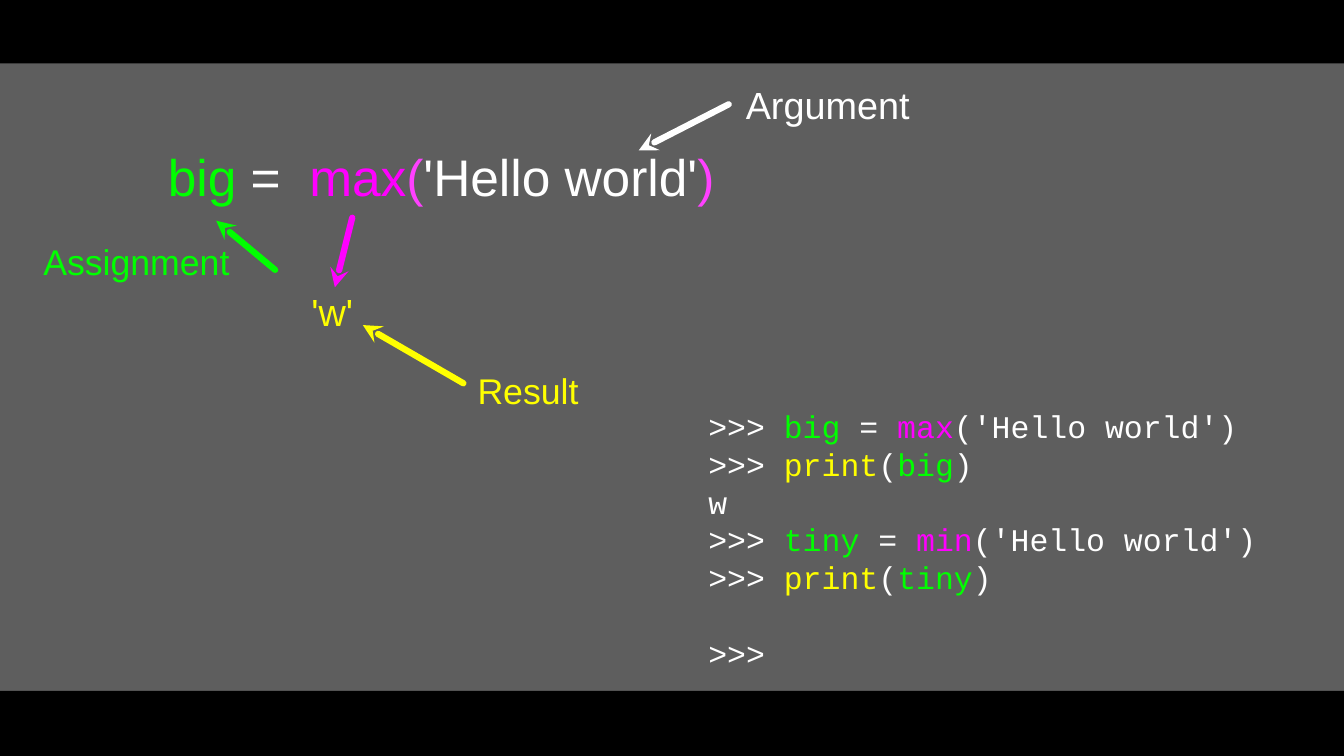
from pptx import Presentation
from pptx.dml.color import RGBColor
from pptx.enum.shapes import MSO_CONNECTOR as CONN, MSO_SHAPE as SHAPE
from pptx.enum.text import MSO_ANCHOR as ANCHOR, PP_ALIGN as ALIGN
from pptx.oxml.ns import qn
from pptx.util import Inches, Pt
from lxml.etree import SubElement

WHITE, GREEN, MAGENTA, YELLOW = "FFFFFF", "00FF00", "FF00FF", "FFFF00"
PINK, BLACK, GRAY = "FF40FF", "000000", "5E5E5E"
WIDTH, HEIGHT = 17.78, 10


def color(value):
    return RGBColor.from_string(value)


def add_bar(s, y, h):
    bar = s.shapes.add_shape(SHAPE.RECTANGLE, 0, Inches(y), Inches(WIDTH), Inches(h))
    bar.shadow.inherit = False
    bar.fill.solid()
    bar.fill.fore_color.rgb = color(BLACK)
    bar.line.fill.background()


def add_text(s, box, lines, size, font="Arial", align=ALIGN.LEFT):
    tf = s.shapes.add_textbox(*map(Inches, box)).text_frame
    tf.word_wrap = True
    tf.vertical_anchor = ANCHOR.MIDDLE
    tf.margin_left = tf.margin_right = tf.margin_top = tf.margin_bottom = 0
    for i, runs in enumerate(lines):
        p = tf.add_paragraph() if i else tf.paragraphs[0]
        p.alignment = align
        for text, fill in runs:
            r = p.add_run()
            r.text = text
            r.font.size = Pt(size)
            r.font.name = font
            r.font.color.rgb = color(fill)
    return tf


def add_arrow(s, tip, tail, fill):
    arrow = s.shapes.add_connector(CONN.STRAIGHT, *map(Inches, tip + tail))
    arrow.line.color.rgb = color(fill)
    arrow.line.width = Pt(6)
    ln = arrow.line._get_or_add_ln()
    ln.set("cap", "rnd")
    SubElement(ln, qn("a:headEnd"), type="stealth")
    SubElement(arrow._element.spPr, qn("a:effectLst"))


def add_call_diagram(s, x, y):
    add_text(s, (x + 1.85, y + 0.84, 7.42, 0.89), [[
        ("big", GREEN), (" =  ", WHITE), ("max", MAGENTA), ("(", PINK),
        ("'Hello world'", WHITE), (")", PINK)]], 49)
    labels = [
        ("Argument", 9.27, 0, 2.62, 36, WHITE, ALIGN.CENTER),
        ("'w'", 3.75, 2.74, 0.67, 36, YELLOW, ALIGN.LEFT),
        ("Result", 5.92, 3.78, 1.39, 34, YELLOW, ALIGN.CENTER),
        ("Assignment", 0, 2.08, 2.87, 34, GREEN, ALIGN.CENTER),
    ]
    for text, dx, dy, w, size, fill, align in labels:
        add_text(s, (x + dx, y + dy, w, 0.68), [[(text, fill)]], size, align=align)
    arrows = [
        (8.08, 0.95, 9.27, 0.34, WHITE),
        (4.43, 3.26, 5.76, 4.03, YELLOW),
        (2.49, 1.88, 3.27, 2.53, GREEN),
        (4.06, 2.76, 4.29, 1.84, MAGENTA),
    ]
    for x1, y1, x2, y2, fill in arrows:
        add_arrow(s, (x + x1, y + y1), (x + x2, y + y2), fill)


def assign_line(name, function):
    return [(">>> ", WHITE), (name, GREEN), (" = ", WHITE),
            (function, MAGENTA), ("('Hello world')", WHITE)]


def print_line(name):
    return [(">>> ", WHITE), ("print", YELLOW), ("(", WHITE), (name, GREEN), (")", WHITE)]


def add_console(s, box):
    lines = [
        assign_line("big", "max"), print_line("big"), [("w", WHITE)],
        assign_line("tiny", "min"), print_line("tiny"), [(">>>", WHITE)],
    ]
    tf = add_text(s, box, lines, 30, "Courier New")
    for p in tf.paragraphs:
        p.line_spacing = Pt(36)
    tf.paragraphs[-1].space_before = Pt(36)


prs = Presentation()
prs.slide_width, prs.slide_height = Inches(WIDTH), Inches(HEIGHT)
s = prs.slides.add_slide(prs.slide_layouts[6])
s.background.fill.solid()
s.background.fill.fore_color.rgb = color(GRAY)
add_bar(s, 0, 0.84)
add_bar(s, 9.14, 0.86)
add_console(s, (9.37, 5.33, 7.64, 3.61))
add_call_diagram(s, 0.37, 1.04)
prs.save("out.pptx")
